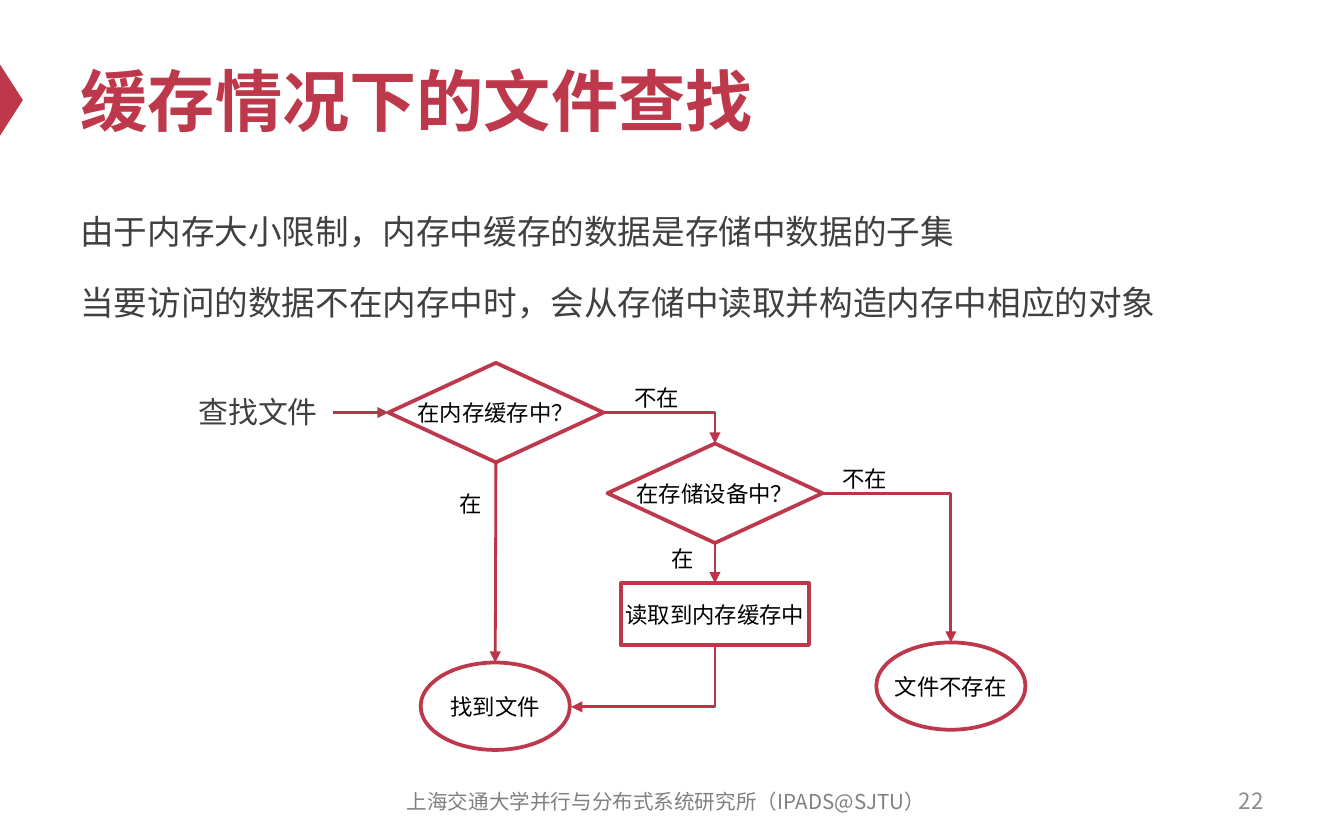
from lxml import etree
from pptx import Presentation
from pptx.dml.color import RGBColor
from pptx.enum.lang import MSO_LANGUAGE_ID
from pptx.enum.shapes import MSO_CONNECTOR, MSO_SHAPE
from pptx.enum.text import MSO_ANCHOR, MSO_AUTO_SIZE, PP_ALIGN
from pptx.oxml.ns import qn
from pptx.util import Pt

SCALE = 9144
DIAMOND, RECTANGLE, ELLIPSE = MSO_SHAPE.DIAMOND, MSO_SHAPE.RECTANGLE, MSO_SHAPE.OVAL
TRIANGLE = MSO_SHAPE.ISOSCELES_TRIANGLE
STRAIGHT, ELBOW = MSO_CONNECTOR.STRAIGHT, MSO_CONNECTOR.ELBOW
LEFT, CENTER, RIGHT = PP_ALIGN.LEFT, PP_ALIGN.CENTER, PP_ALIGN.RIGHT
TOP, MIDDLE = MSO_ANCHOR.TOP, MSO_ANCHOR.MIDDLE
NO_AUTOFIT = MSO_AUTO_SIZE.NONE
CHINESE = MSO_LANGUAGE_ID.SIMPLIFIED_CHINESE
RED, LINE_RED, DARK, BLACK, WHITE = "BE384B", "BD3347", "404040", "000000", "FFFFFF"
SANS, CJK = "Arial", "Noto Sans CJK SC"


def px(value):
    return int(value * SCALE)


def color(hex_value):
    return RGBColor.from_string(hex_value)


def write(shape, *lines, size=12, fill=BLACK, font_name=SANS, bold=False, align=LEFT,
          anchor=TOP, wrap=False, line_spacing=None, gap=0):
    frame = shape.text_frame
    frame.auto_size = NO_AUTOFIT
    frame.word_wrap = wrap
    frame.vertical_anchor = anchor
    for index, line in enumerate(lines):
        paragraph = frame.add_paragraph() if index else frame.paragraphs[0]
        paragraph.alignment = align
        paragraph.line_spacing = line_spacing
        paragraph.space_before = Pt(gap if index else 0)
        run = paragraph.add_run()
        run.text = line
        font = run.font
        font.name = font_name
        east_asian = etree.SubElement(run._r.get_or_add_rPr(), qn("a:ea"))
        east_asian.set("typeface", font_name)
        font.language_id = CHINESE
        font.size = Pt(size)
        font.bold = bold
        font.color.rgb = color(fill)


def add_text(shapes, box, *lines, **text_format):
    write(shapes.add_textbox(*map(px, box)), *lines, **text_format)


def add_node(shapes, kind, box, text):
    node = shapes.add_shape(kind, *map(px, box))
    node.shadow.inherit = False
    node.fill.solid()
    node.fill.fore_color.rgb = color(WHITE)
    node.line.color.rgb = color(RED)
    node.line.width = Pt(2)
    write(node, text, align=CENTER, anchor=MIDDLE)
    return node


def add_arrow(shapes, kind, start, end):
    arrow = shapes.add_connector(kind, *map(px, start + end))
    arrow.line.color.rgb = color(LINE_RED)
    arrow.line.width = Pt(1.5)
    properties = arrow._element.spPr
    etree.SubElement(properties.find(qn("a:ln")), qn("a:tailEnd")).set("type", "triangle")
    etree.SubElement(properties, qn("a:effectLst"))
    if kind == ELBOW:
        properties.find(qn("a:prstGeom")).set("prst", "bentConnector2")
    return arrow


def add_down_left_arrow(shapes, start, end):
    run, drop = start[0] - end[0], end[1] - start[1]
    center_x, center_y = (start[0] + end[0]) / 2, (start[1] + end[1]) / 2
    left, top = center_x - drop / 2, center_y - run / 2
    arrow = add_arrow(shapes, ELBOW, (left, top), (left + drop, top + run))
    arrow._element.spPr.find(qn("a:xfrm")).set("rot", str(90 * 60000))


def add_header(slide, left, top, width, height):
    marker = slide.shapes.add_shape(
        TRIANGLE, *map(px, (left - 68, top + 41, 53, 17)))
    marker.rotation = 90
    marker.shadow.inherit = False
    marker.fill.solid()
    marker.fill.fore_color.rgb = color(RED)
    marker.line.fill.background()
    title = slide.shapes.title
    title.left, title.top, title.width, title.height = map(px, (left, top, width, height))
    write(title, "缓存情况下的文件查找", size=36, fill=RED, bold=True,
          anchor=MIDDLE, wrap=True)


def add_body(slide, left, top, width, height):
    add_text(slide.shapes, (left, top, width, height),
             "由于内存大小限制，内存中缓存的数据是存储中数据的子集",
             "当要访问的数据不在内存中时，会从存储中读取并构造内存中相应的对象",
             size=18, fill=DARK, wrap=True, line_spacing=1.2, gap=12)


def add_flowchart(slide, left, top):
    shapes = slide.shapes.add_group_shape().shapes

    def at(x, y, *size):
        return (left + x, top + y, *size)

    memory = add_node(shapes, DIAMOND, at(151, 0, 160, 74), "在内存缓存中？")
    storage = add_node(shapes, DIAMOND, at(314, 60, 160, 74), "在存储设备中？")
    load = add_node(shapes, RECTANGLE, at(324, 164, 140, 46), "读取到内存缓存中")
    missing = add_node(shapes, ELLIPSE, at(514, 208, 111, 65), "文件不存在")
    found = add_node(shapes, ELLIPSE, at(175, 223, 111, 65), "找到文件")

    top_site, bottom_site, right_site = 0, 2, 3
    links = [
        (STRAIGHT, memory, bottom_site, found, at(231, 74), at(231, 223)),
        (ELBOW, memory, right_site, storage, at(311, 37), at(394, 60)),
        (ELBOW, storage, right_site, missing, at(474, 98), at(569, 208)),
        (STRAIGHT, storage, bottom_site, load, at(394, 134), at(394, 164)),
    ]
    for kind, source, site, target, start, end in links:
        arrow = add_arrow(shapes, kind, start, end)
        arrow.begin_connect(source, site)
        arrow.end_connect(target, top_site)
    add_down_left_arrow(shapes, at(394, 210), at(287, 256))
    add_arrow(shapes, STRAIGHT, at(110, 37), at(151, 37))

    for text, x, y, width in [("在", 194, 90, 37), ("不在", 324, 11, 54),
                              ("不在", 479, 71, 54), ("在", 352, 131, 37)]:
        add_text(shapes, at(x, y, width, 30), text)
    add_text(shapes, at(0, 18, 110, 37), "查找文件", size=16, fill=DARK)


def add_footer(slide, left, top, width, height):
    add_text(slide.shapes, (left + 229, top + 1, 433, height),
             "上海交通大学并行与分布式系统研究所（IPADS@SJTU）", size=11,
             fill="808080", font_name=CJK, align=CENTER, anchor=MIDDLE, wrap=True)
    add_text(slide.shapes, (left + width - 233, top, 233, height), "22",
             fill="8C8C8C", font_name=CJK, align=RIGHT, anchor=MIDDLE, wrap=True)


def main():
    presentation = Presentation()
    presentation.slide_width, presentation.slide_height = px(1000), px(625)
    slide = presentation.slides.add_slide(presentation.slide_layouts[5])
    add_header(slide, 50, 25, 900, 98)
    add_body(slide, 50, 146, 900, 412)
    add_footer(slide, 50, 579, 900, 33)
    add_flowchart(slide, 138, 270)
    presentation.save("out.pptx")


if __name__ == "__main__":
    main()
